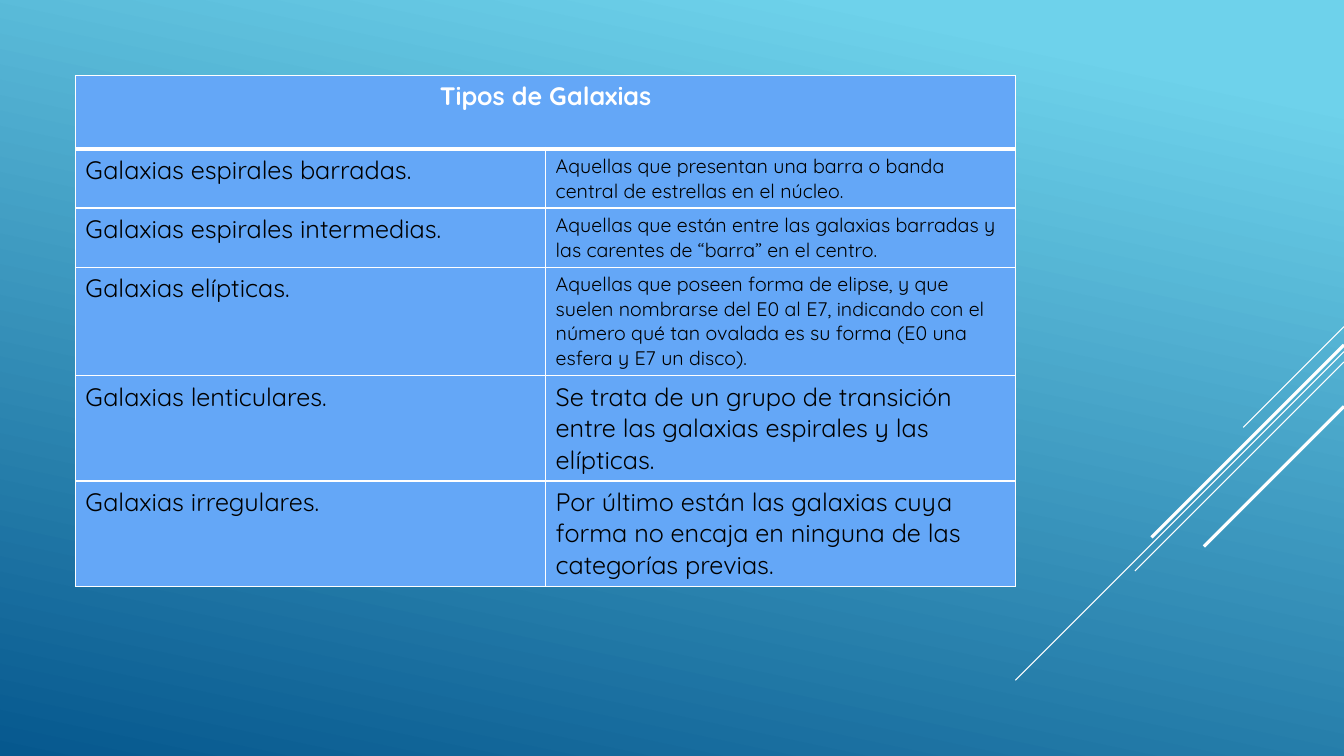
from lxml import etree
from pptx import Presentation
from pptx import util as u
from pptx.dml.color import RGBColor
from pptx.enum import shapes, text
from pptx.oxml.ns import qn

COLORS = {"sky": "6ED2EB", "deep": "06588E", "cell": "64A7F7", "light": "FFFFFF", "ink": "000000"}
FONT = "Quicksand"
ROW_HEIGHTS = [1.85, 1.49, 1.49, 2.74, 2.65, 2.65]
GALAXIES = [
    ("Galaxias espirales barradas.",
     "Aquellas que presentan una barra o banda central de estrellas en el núcleo.", 14),
    ("Galaxias espirales intermedias.",
     "Aquellas que están entre las galaxias barradas y las carentes de “barra” en el centro.", 14),
    ("Galaxias elípticas.",
     "Aquellas que poseen forma de elipse, y que suelen nombrarse del E0 al E7, indicando con "
     "el número qué tan ovalada es su forma (E0 una esfera y E7 un disco).", 14),
    ("Galaxias lenticulares.",
     "Se trata de un grupo de transición entre las galaxias espirales y las elípticas.", 18),
    ("Galaxias irregulares.",
     "Por último están las galaxias cuya forma no encaja en ninguna de las categorías previas.", 18),
]
RAYS = [(8.23, 2.54, 0.75), (8.86, 8.28, 0.75), (9.12, 5.27, 0.75),
        (8.69, 4.85, 2.25), (10.24, 3.53, 2.25)]


def rgb(name):
    """Return the named colour."""
    return RGBColor.from_string(COLORS[name])


class GalaxySlide:
    """Hold the presentation, its style and the current slide."""

    def __init__(self):
        """Start a blank widescreen slide."""
        self.deck = Presentation()
        self.deck.slide_width, self.deck.slide_height = u.Cm(33.87), u.Cm(19.05)
        self.slide = self.deck.slides.add_slide(self.deck.slide_layouts[6])

    def background(self, angle):
        """Fill the background with the sky gradient."""
        fill = self.slide.background.fill
        fill.gradient()
        fill.gradient_angle = angle
        for stop, name, position in zip(fill.gradient_stops, ("sky", "deep"), (0.1, 1)):
            stop.color.rgb = rgb(name)
            stop.position = position

    def ray(self, top, reach, width):
        """Draw a diagonal from the right edge down to the left."""
        right = self.deck.slide_width
        ray = self.slide.shapes.add_connector(
            shapes.MSO_CONNECTOR.STRAIGHT, right, u.Cm(top),
            right - u.Cm(reach), u.Cm(top + reach))
        ray.line.color.rgb = rgb("light")
        ray.line.width = u.Pt(width)
        etree.SubElement(ray._element.spPr, qn("a:effectLst"))

    def borders(self, cell, top, bottom):
        """Give a cell white borders."""
        properties = cell._tc.get_or_add_tcPr()
        for side, width in (("L", 1), ("R", 1), ("T", top), ("B", bottom)):
            line = etree.SubElement(properties, qn(f"a:ln{side}"), w=str(u.Pt(width)))
            solid = etree.SubElement(line, qn("a:solidFill"))
            etree.SubElement(solid, qn("a:srgbClr"), val=COLORS["light"])

    def label(self, cell, words, size, color="ink", bold=False):
        """Put formatted words into a cell."""
        cell.text_frame.text = words
        font = cell.text_frame.paragraphs[0].runs[0].font
        font.name, font.size, font.bold = FONT, u.Pt(size), bold
        font.color.rgb = rgb(color)

    def table(self, heading, entries, left, top, width):
        """Build a two-column table under a merged heading."""
        table = self.slide.shapes.add_table(
            len(entries) + 1, 2, u.Cm(left), u.Cm(top),
            u.Cm(width), u.Cm(sum(ROW_HEIGHTS))).table
        for index, (row, height) in enumerate(zip(table.rows, ROW_HEIGHTS)):
            row.height = u.Cm(height)
            for cell in row.cells:
                self.borders(cell, 3 if index == 1 else 1, 3 if index == 0 else 1)
                cell.fill.solid()
                cell.fill.fore_color.rgb = rgb("cell")
        title = table.cell(0, 0)
        title.merge(table.cell(0, 1))
        self.label(title, heading, 18, "light", True)
        title.text_frame.paragraphs[0].alignment = text.PP_ALIGN.CENTER
        for index, (kind, meaning, size) in enumerate(entries, 1):
            self.label(table.cell(index, 0), kind, 18)
            self.label(table.cell(index, 1), meaning, size)


def main():
    """Build and save the slide."""
    page = GalaxySlide()
    page.background(258)
    for ray in RAYS:
        page.ray(*ray)
    page.table("Tipos de Galaxias", GALAXIES, 1.9, 1.9, 23.7)
    page.deck.save("out.pptx")


if __name__ == "__main__":
    main()
